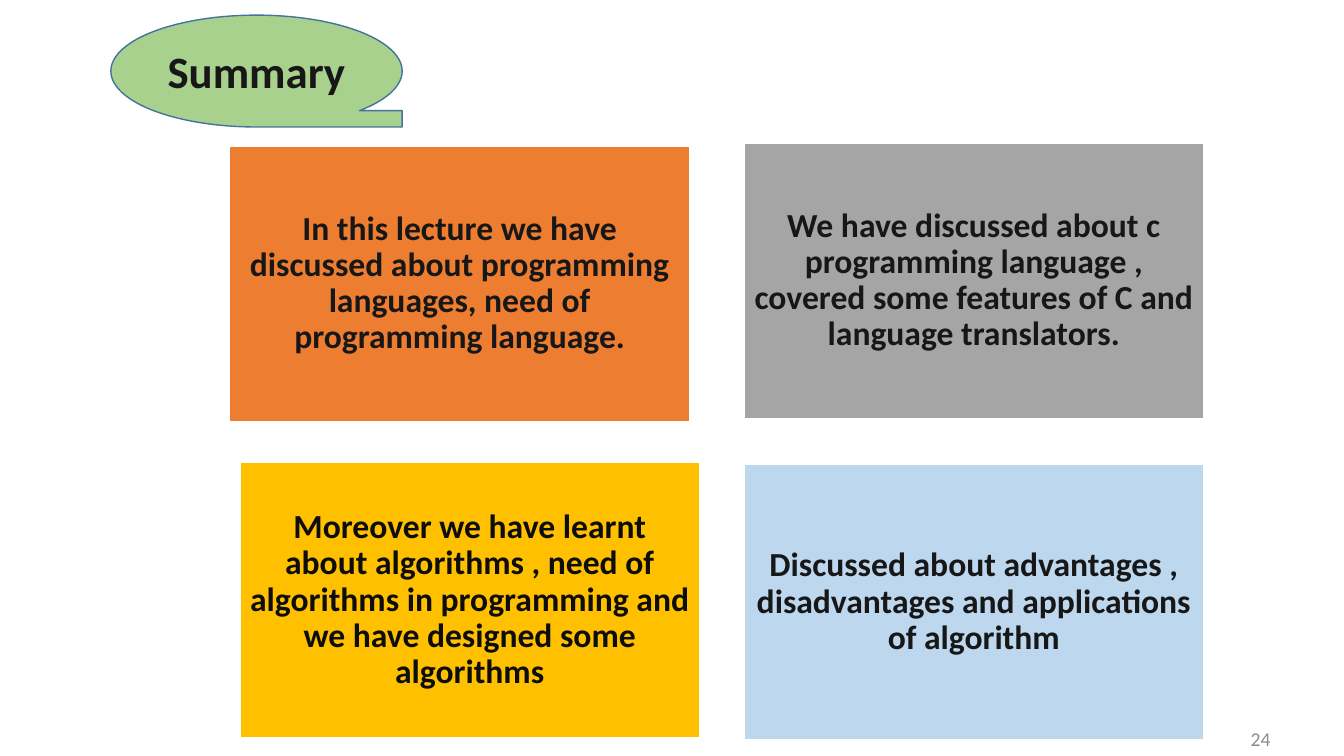
from pptx import Presentation
from pptx.dml.color import RGBColor
from pptx.enum.shapes import MSO_SHAPE
from pptx.enum.text import MSO_ANCHOR, PP_ALIGN
from pptx.util import Inches, Pt

WIDE, HIGH = Inches(13.33), Inches(7.5)
FONT = "Calibri"
COLORS = {
    "green": "A9D18E", "edge": "43739E", "white": "FFFFFF",
    "orange": "ED7D31", "gray": "A5A5A5", "gold": "FFC000", "sky": "BDD7EE",
    "ink": "181717", "black": "0D0D0D", "pale": "8C8C8C",
}
CARD = (34.2, 36.4)
CARDS = [
    (17.1, 19.33, "orange", "ink",
     "In this lecture we have discussed about programming languages, "
     "need of programming language."),
    (55.36, 18.93, "gray", "ink",
     "We have discussed about c programming language , "
     "covered some features of C and language translators."),
    (17.85, 61.2, "gold", "black",
     "Moreover we have learnt about algorithms , need of algorithms "
     "in programming and we have designed some algorithms"),
    (55.36, 61.47, "sky", "ink",
     "Discussed about advantages , disadvantages and applications "
     "of algorithm"),
]


def color(name):
    return RGBColor.from_string(COLORS[name])


def place(left, top, width, height):
    """Turn percentages of the slide into lengths."""
    return (int(WIDE * left / 100), int(HIGH * top / 100),
            int(WIDE * width / 100), int(HIGH * height / 100))


def write(shape, text, size, ink, bold=True, align=PP_ALIGN.CENTER):
    frame = shape.text_frame
    frame.word_wrap = True
    frame.vertical_anchor = MSO_ANCHOR.MIDDLE
    para = frame.paragraphs[0]
    para.alignment = align
    run = para.add_run()
    run.text = text
    run.font.name = FONT
    run.font.size = Pt(size)
    run.font.bold = bold
    run.font.color.rgb = color(ink)


def add_block(slide, kind, box, fill, edge):
    block = slide.shapes.add_shape(kind, *place(*box))
    block.shadow.inherit = False
    block.fill.solid()
    block.fill.fore_color.rgb = color(fill)
    block.line.color.rgb = color(edge)
    block.line.width = Pt(1)
    return block


def add_title(slide, text):
    tape = add_block(slide, MSO_SHAPE.FLOWCHART_SEQUENTIAL_ACCESS_STORAGE,
                     (8.25, 2, 21.68, 14.8), "green", "edge")
    write(tape, text, 32, "ink")


def add_card(slide, left, top, fill, ink, text):
    card = add_block(slide, MSO_SHAPE.RECTANGLE, (left, top, *CARD),
                     fill, "white")
    write(card, text, 24, ink)
    frame = card.text_frame
    frame.margin_left = frame.margin_right = Inches(0.1)
    frame.margin_top = frame.margin_bottom = Inches(0.1)
    frame.paragraphs[0].line_spacing = 0.9


def add_number(slide, text):
    box = slide.shapes.add_textbox(*place(78.47, 97.33, 16.8, 0.67))
    write(box, text, 14, "pale", bold=False, align=PP_ALIGN.RIGHT)


def main():
    deck = Presentation()
    deck.slide_width, deck.slide_height = WIDE, HIGH
    slide = deck.slides.add_slide(deck.slide_layouts[6])
    add_number(slide, "24")
    add_title(slide, "Summary")
    for card in CARDS:
        add_card(slide, *card)
    deck.save("out.pptx")


if __name__ == "__main__":
    main()
